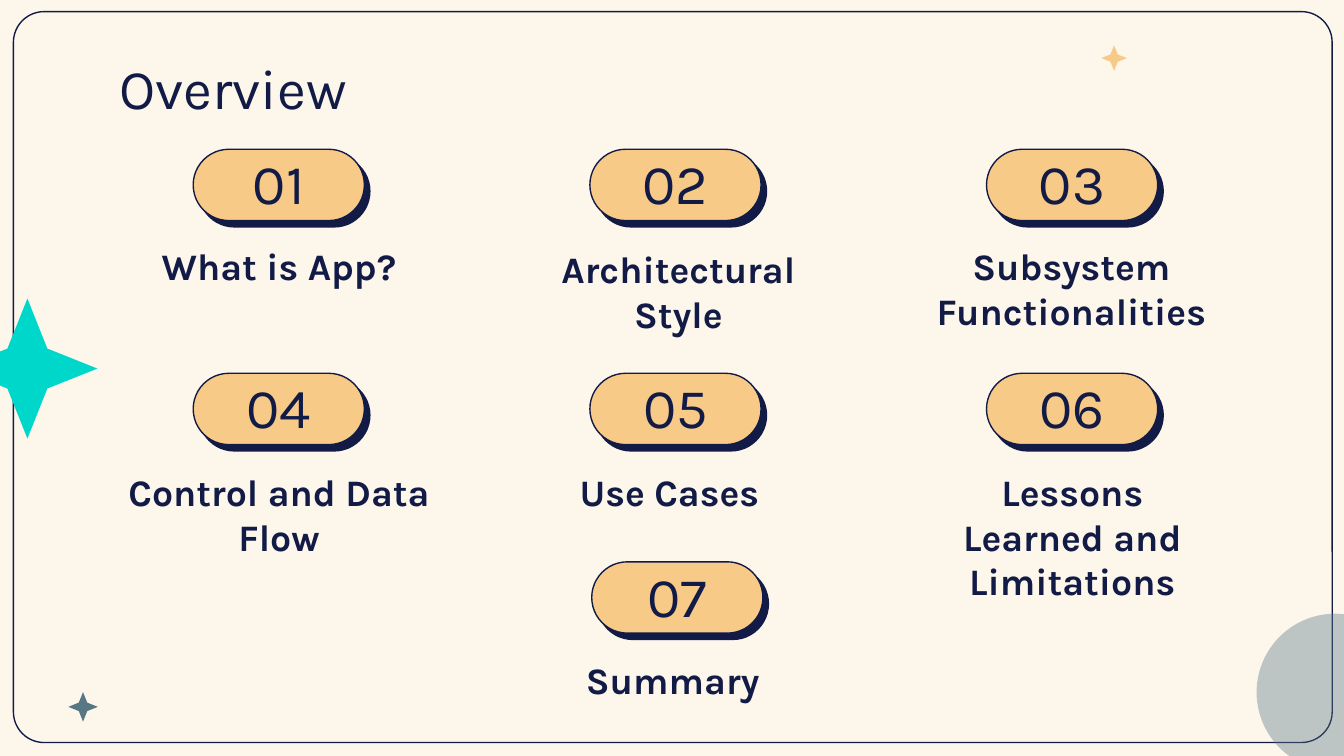
from lxml.etree import SubElement
from pptx import Presentation
from pptx.dml.color import RGBColor
from pptx.enum.shapes import MSO_SHAPE as Shape
from pptx.enum.text import MSO_ANCHOR as Anchor, PP_ALIGN as Align
from pptx.oxml.ns import qn
from pptx.util import Pt

COLORS = {"cream": "FDF6EB", "navy": "121B46", "sand": "F8CA88",
          "teal": "00D7CB", "slate": "577785"}


def add_shape(kind, left, top, width, height, fill=None, outline=False, adjust=None):
    shape = page.shapes.add_shape(kind, Pt(left), Pt(top), Pt(width), Pt(height))
    shape.shadow.inherit = False
    if adjust is not None:
        shape.adjustments[0] = adjust
    if fill:
        shape.fill.solid()
        shape.fill.fore_color.rgb = RGBColor.from_string(COLORS[fill])
    else:
        shape.fill.background()
    if outline:
        shape.line.color.rgb = RGBColor.from_string(COLORS["navy"])
        shape.line.width = Pt(0.75)
    else:
        shape.line.fill.background()
    return shape


def add_text(text, left, top, width, height, size, bold=False,
             align=Align.CENTER, anchor=Anchor.TOP):
    box = page.shapes.add_textbox(Pt(left), Pt(top), Pt(width), Pt(height))
    frame = box.text_frame
    frame.word_wrap = True
    frame.vertical_anchor = anchor
    frame.margin_left = frame.margin_right = Pt(7.2)
    frame.margin_top = frame.margin_bottom = Pt(7.2)
    para = frame.paragraphs[0]
    para.text = text
    para.alignment = align
    para.font.name = "Karla"
    para.font.size = Pt(size)
    para.font.bold = bold
    para.font.color.rgb = RGBColor.from_string(COLORS["navy"])


deck = Presentation()
deck.slide_width, deck.slide_height = Pt(720), Pt(405)
page = deck.slides.add_slide(deck.slide_layouts[6])
page.background.fill.solid()
page.background.fill.fore_color.rgb = RGBColor.from_string(COLORS["cream"])

# Frame and translucent corner circle
add_shape(Shape.ROUNDED_RECTANGLE, 7.2, 6.2, 706.5, 391.6, outline=True, adjust=0.042)
circle = add_shape(Shape.OVAL, 673.2, 328.8, 84.2, 84.2, "slate")
circle_color = circle.fill._xPr.find(qn("a:solidFill"))[0]
SubElement(circle_color, qn("a:alpha"), val="38000")

# Stars
for left, top, size, color in [(-22.8, 160, 75, "teal"), (36.6, 370.8, 15.8, "slate"),
                               (590, 24.3, 13.7, "sand")]:
    add_shape(Shape.STAR_4_POINT, left, top, size, size, color, adjust=0.202)

add_text("Overview", 57, 21.6, 607, 45.4, 30, align=Align.LEFT)

# Topics: label, then the label's left, top, width, height and alignment
topics = [
    ("What is App?", 75, 123, 149, 38, Align.CENTER),
    ("Architectural Style", 286, 124.8, 155, 57, Align.CENTER),
    ("Subsystem Functionalities", 488, 123, 172, 38, Align.CENTER),
    ("Control and Data Flow", 60, 244, 179, 38, Align.CENTER),
    ("Use Cases", 303.4, 244, 119, 38, Align.LEFT),
    ("Lessons Learned and Limitations", 497, 244, 155, 38, Align.CENTER),
    ("Summary", 306.8, 345, 112, 38, Align.LEFT),
]
row_tops = [80, 200, 301]
for index, (label, left, top, width, height, align) in enumerate(topics):
    row, column = divmod(index, 3)
    pill_left = 103.5 + 212.5 * column
    if row == 2:  # the last topic stands alone below the middle column
        pill_left = 317
    pill_top = row_tops[row]

    # Pill with a hard offset shadow
    pill = add_shape(Shape.ROUNDED_RECTANGLE, pill_left, pill_top, 91.7, 38.2,
                     "sand", outline=True, adjust=0.5)
    effects = pill._element.spPr.find(qn("a:effectLst"))
    shadow = SubElement(effects, qn("a:outerShdw"), blurRad="0", dist=str(Pt(4.5)),
                        dir=str(49 * 60000), algn="bl", rotWithShape="0")
    SubElement(shadow, qn("a:srgbClr"), val=COLORS["navy"])

    add_text(f"{index + 1:02}", pill_left, pill_top + 7.5, 91.7, 35.3, 30,
             anchor=Anchor.BOTTOM)
    add_text(label, left, top, width, height, 20, bold=True, align=align)

deck.save("out.pptx")
